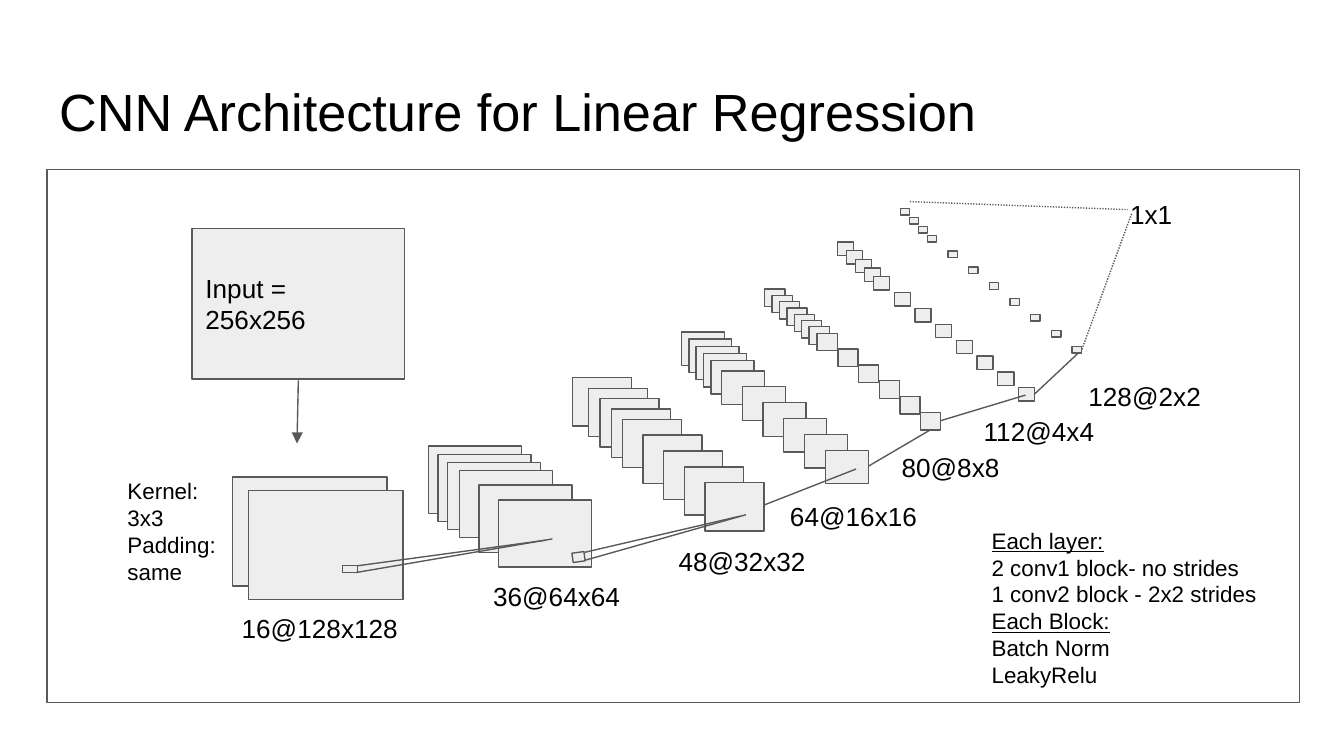
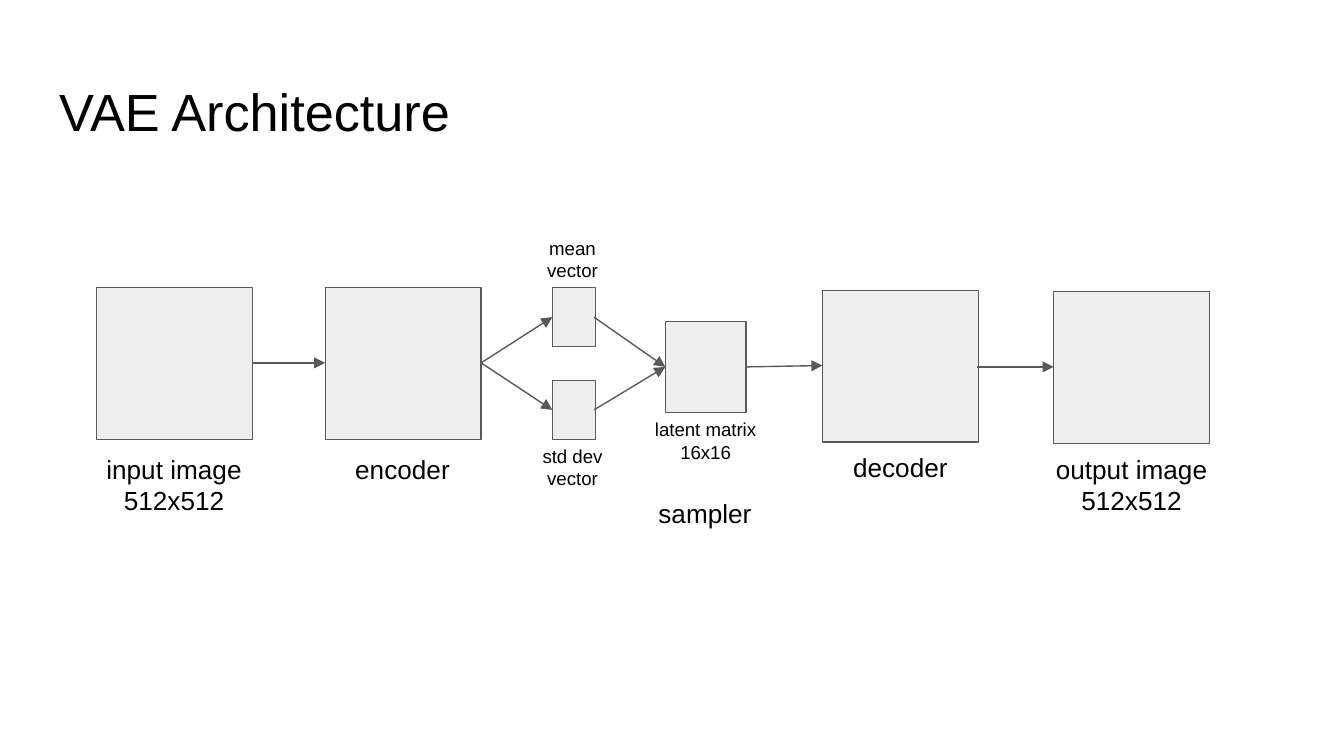
from lxml import etree
from pptx import Presentation, util as u
from pptx.dml.color import RGBColor
from pptx.enum import dml, shapes, text
from pptx.oxml.ns import qn

HUES = {"ink": "000000", "line": "595959", "fill": "EEEEEE"}
COLS, ROWS = 100, 56.25
SPREAD = (1.54, 1.18)  # step between the loose maps of a stack

# Feature maps: map size, then runs of (x, y, count, step)
STACKS = [
    ((11.5, 8.1), [(17.3, 35.5, 2, (1.2, 1))]),
    ((6.9, 5), [(31.9, 33.2, 3, (0.7, 0.6)), (34.2, 35, 3, (1.45, 1.1))]),
    ((4.4, 3.6), [(42.6, 28.1, 1, SPREAD), (43.8, 28.9, 3, (0.85, 0.77)),
                  (46.3, 31.2, 5, SPREAD)]),
    ((3.2, 2.5), [(50.7, 24.7, 5, (0.55, 0.53)), (53.7, 27.6, 6, SPREAD)]),
    ((1.5, 1.3), [(56.9, 21.5, 7, (0.55, 0.47)), (60.8, 24.8, 6, SPREAD)]),
    ((1.2, 1), [(62.3, 18, 4, (0.68, 0.65)), (65, 20.6, 8, SPREAD)]),
    ((0.7, 0.5), [(67, 15.5, 3, (0.67, 0.67)), (69, 17.5, 8, SPREAD)]),
]
SIZES = [
    ("16@128x128", 17, 44.6, 14.6), ("36@64x64", 35.7, 42.2, 11.5),
    ("48@32x32", 49.5, 39.6, 11.5), ("64@16x16", 57.8, 36.2, 14),
    ("80@8x8", 66.1, 32.6, 11.5), ("112@4x4", 72.2, 29.9, 11.5),
    ("128@2x2", 80, 27.3, 11.5), ("1x1", 83.1, 13.8, 6.8),
]
LINKS = [
    ((26.5, 42.6), (41.1, 40.1)), ((26.6, 42.1), (40.6, 40.2)),
    ((43.5, 41.7), (55.5, 38.3)), ((43.5, 41.1), (55.1, 38.4)),
    ((56.8, 37.6), (63.7, 34.9)), ((64.6, 34.7), (69.2, 32)),
    ((70, 31.3), (76.3, 29.4)), ((77, 29.3), (80.2, 26.3)),
]
NOTES = """Each layer:
2 conv1 block- no strides
1 conv2 block - 2x2 strides
Each Block:
Batch Norm
LeakyRelu"""


def hue(name):
    return RGBColor.from_string(HUES[name])


class Deck:
    """Holds the style and the current slide; lengths are grid cells."""

    def __init__(self):
        self.prs = Presentation()
        self.prs.slide_width = u.Inches(10)
        self.prs.slide_height = u.Inches(5.625)

    def col(self, n):
        return round(self.prs.slide_width * n / COLS)

    def row(self, n):
        return round(self.prs.slide_height * n / ROWS)

    def area(self, x, y, w, h):
        return self.col(x), self.row(y), self.col(w), self.row(h)

    def slide(self, title):
        self.cur = self.prs.slides.add_slide(self.prs.slide_layouts[5])
        head = self.cur.shapes.title
        head.left, head.top, head.width, head.height = self.area(3.4, 4.9, 93.2, 6.3)
        self.letter(head, title, 28)

    def letter(self, shape, words, size, center=False, mid=False, under=()):
        """Set one paragraph per line; lines listed in under are underlined."""
        tf = shape.text_frame
        tf.text = words
        tf.word_wrap = True
        tf.auto_size = text.MSO_AUTO_SIZE.NONE
        tf.margin_left = tf.margin_right = self.col(1)
        tf.margin_top = tf.margin_bottom = self.row(1)
        tf.vertical_anchor = text.MSO_ANCHOR.MIDDLE if mid else text.MSO_ANCHOR.TOP
        for par in tf.paragraphs:
            par.alignment = text.PP_ALIGN.CENTER if center else text.PP_ALIGN.LEFT
            font = par.font
            font.name, font.size = "Arial", u.Pt(size)
            font.color.rgb = hue("ink")
            if par.text in under:
                font.underline = True

    def label(self, words, x, y, w, h=4.4, size=14, **style):
        box = self.cur.shapes.add_textbox(*self.area(x, y, w, h))
        self.letter(box, words, size, **style)

    def box(self, x, y, w, h, turn=0, fill=True):
        rect = self.cur.shapes.add_shape(
            shapes.MSO_SHAPE.RECTANGLE, *self.area(x, y, w, h))
        rect.shadow.inherit = False
        rect.rotation = turn
        if fill:
            rect.fill.solid()
            rect.fill.fore_color.rgb = hue("fill")
        else:
            rect.fill.background()
        self.stroke(rect.line)
        return rect

    def stroke(self, line):
        line.color.rgb = hue("line")
        line.width = u.Pt(0.75)

    def stack(self, size, runs):
        for x, y, count, (dx, dy) in runs:
            for i in range(count):
                self.box(x + i * dx, y + i * dy, *size)

    def link(self, start, end, arrow=False, dots=False):
        (x1, y1), (x2, y2) = start, end
        wire = self.cur.shapes.add_connector(
            shapes.MSO_CONNECTOR.STRAIGHT,
            self.col(x1), self.row(y1), self.col(x2), self.row(y2))
        self.stroke(wire.line)
        if dots:
            wire.line.dash_style = dml.MSO_LINE.ROUND_DOT
        props = wire._element.spPr
        if arrow:
            etree.SubElement(props.find(qn("a:ln")), qn("a:tailEnd"), type="triangle")
        etree.SubElement(props, qn("a:effectLst"))


def cnn(deck):
    deck.slide("CNN Architecture for Linear Regression")
    for size, runs in STACKS:
        deck.stack(size, runs)
    source = deck.box(14.3, 17, 15.8, 11.2)
    deck.letter(source, "Input = 256x256", 14, mid=True)
    for words, x, y, w in SIZES:
        deck.label(words, x, y, w)
    deck.box(25.5, 42.1, 1.1, 0.5)
    deck.box(42.6, 41.1, 0.9, 0.7, turn=351.8)
    for start, end in LINKS:
        deck.link(start, end)
    deck.link((67.7, 15), (83.9, 15.6), dots=True)
    deck.link((80.5, 26), (84.2, 15.9), dots=True)
    deck.link((22.2, 28.3), (22.1, 33), arrow=True)
    deck.label(NOTES, 72.8, 38.2, 24.7, 14.1, 12, under=("Each layer:", "Each Block:"))
    deck.label("Kernel: 3x3\nPadding: same", 8.5, 34.5, 9.2, 10.1, 12)
    deck.box(3.5, 12.6, 93.2, 39.7, fill=False)


def vae(deck):
    deck.slide("VAE Architecture")
    for x, y in [(7.2, 21.4), (24.2, 21.4), (61.2, 21.6), (78.4, 21.7)]:
        deck.box(x, y, 11.6, 11.3)
    for y in (21.4, 28.3):
        deck.box(41.1, y, 3.2, 4.4)
    deck.box(49.5, 23.9, 6, 6.8)

    for words, x, y, w, h, size in [
        ("input image\n512x512", 6, 32.7, 13.9, 6.3, 14),
        ("encoder", 23, 32.7, 13.9, 3.9, 14),
        ("mean vector", 39.6, 16.6, 6, 3.9, 10),
        ("std dev\nvector", 39.1, 32.1, 7, 3.9, 10),
        ("latent matrix\n16x16", 46.7, 30.1, 11.6, 4.4, 10),
        ("sampler", 45.5, 36, 13.9, 3.9, 14),
        ("decoder", 61.2, 32.6, 11.6, 4, 14),
        ("output image\n512x512", 77.4, 32.7, 13.6, 6.3, 14),
    ]:
        deck.label(words, x, y, w, h, size, center=True)

    code, latent = (35.8, 27), (49.5, 27.3)
    deck.link((18.8, 27), (24.2, 27), arrow=True)
    for y in (23.6, 30.5):
        deck.link(code, (41.1, y), arrow=True)
        deck.link((44.2, y), latent, arrow=True)
    deck.link((55.5, 27.3), (61.2, 27.2), arrow=True)
    deck.link((72.7, 27.3), (78.4, 27.3), arrow=True)


def main():
    deck = Deck()
    cnn(deck)
    vae(deck)
    deck.prs.save("out.pptx")


if __name__ == "__main__":
    main()
